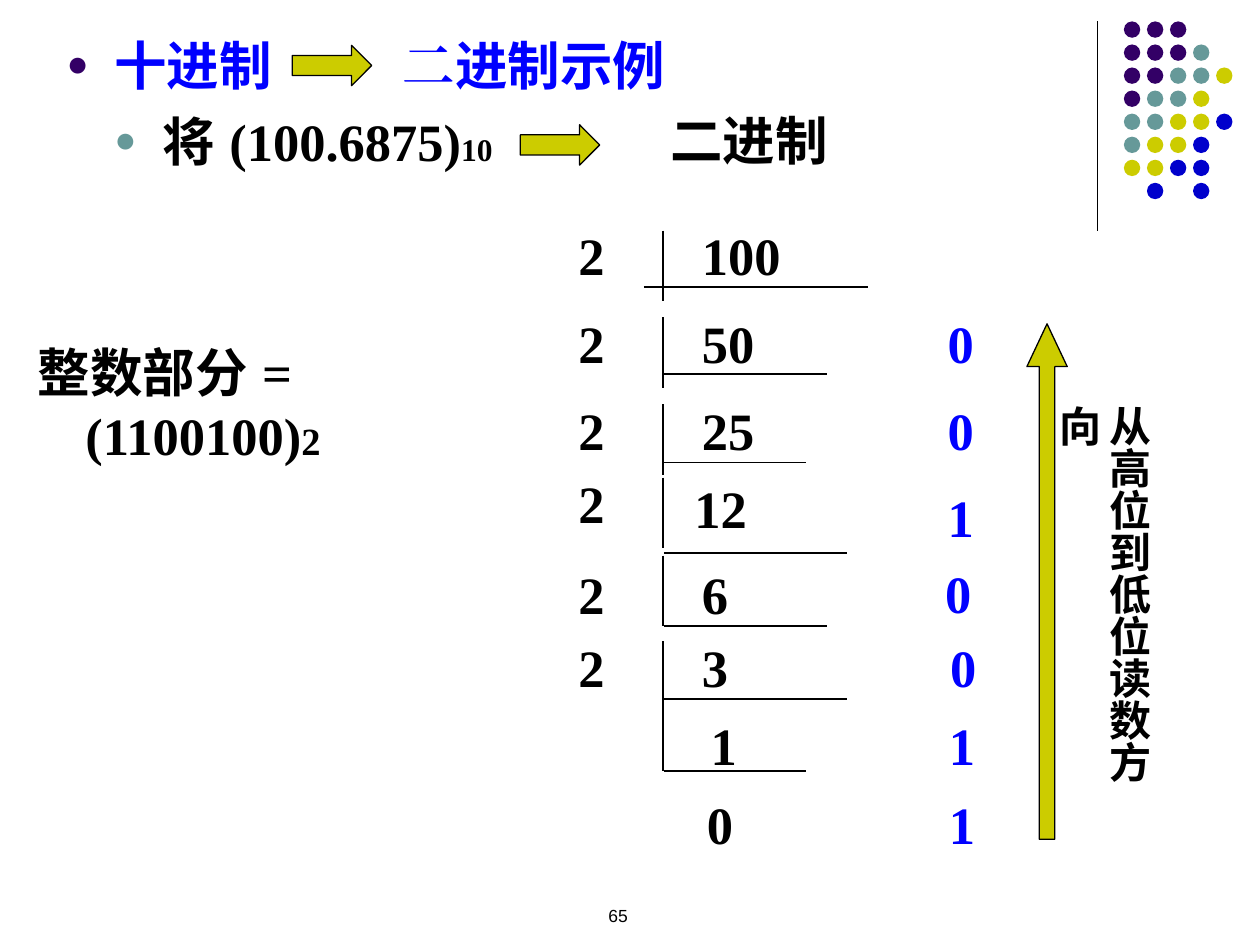
from lxml import etree
from pptx import Presentation
from pptx.dml.color import RGBColor
from pptx.enum.shapes import MSO_CONNECTOR, MSO_SHAPE
from pptx.enum.text import PP_ALIGN
from pptx.oxml.ns import qn
from pptx.util import Inches, Pt

LINE = MSO_CONNECTOR.STRAIGHT
OVAL = MSO_SHAPE.OVAL
RIGHT = MSO_SHAPE.RIGHT_ARROW
UP = MSO_SHAPE.UP_ARROW
CENTER = PP_ALIGN.CENTER
SANS, SERIF = "Arial", "Times New Roman"
HEX = {"ink": "000000", "blue": "0000FF", "plum": "330066",
       "teal": "669999", "lime": "CCCC00", "navy": "0000CC"}


def tint(name):
    """Return the named colour."""
    return RGBColor.from_string(HEX[name])


def add_run(para, text, face=SANS, size=30, hue="ink", bold=True):
    """Add one styled run."""
    run = para.add_run()
    run.text = text
    font = run.font
    font.name, font.size, font.bold = face, Pt(size), bold
    font.color.rgb = tint(hue)
    etree.SubElement(run._r.get_or_add_rPr(), qn("a:ea"), typeface=face)


def add_text(slide, box, pad=(0.1, 0.05)):
    """Add a wrapping text box and return its frame."""
    frame = slide.shapes.add_textbox(*map(Inches, box)).text_frame
    frame.word_wrap = True
    frame.margin_left = frame.margin_right = Inches(pad[0])
    frame.margin_top = frame.margin_bottom = Inches(pad[1])
    return frame


def add_line(slide, x, y, end_x, end_y, width=1):
    """Add a plain black line."""
    ends = map(Inches, (x, y, end_x, end_y))
    line = slide.shapes.add_connector(LINE, *ends)
    line.line.color.rgb = tint("ink")
    line.line.width = Pt(width)
    etree.SubElement(line._element.spPr, qn("a:effectLst"))


def add_shape(slide, kind, box, hue):
    """Add a filled shape without outline."""
    shape = slide.shapes.add_shape(kind, *map(Inches, box))
    shape.shadow.inherit = False
    shape.fill.solid()
    shape.fill.fore_color.rgb = tint(hue)
    shape.line.fill.background()
    return shape


def add_arrow(slide, kind, box, shaft, head):
    """Add an outlined block arrow."""
    arrow = add_shape(slide, kind, box, "lime")
    arrow.adjustments[0], arrow.adjustments[1] = shaft, head
    arrow.line.color.rgb = tint("ink")
    arrow.line.width = Pt(0.75)


def set_bullet(para, left, hue):
    """Give a paragraph a hanging round bullet."""
    props = para._p.get_or_add_pPr()
    props.set("marL", str(Inches(left)))
    props.set("indent", str(Inches(-0.38)))
    color = etree.SubElement(props, qn("a:buClr"))
    etree.SubElement(color, qn("a:srgbClr"), val=HEX[hue])
    etree.SubElement(props, qn("a:buSzPct"), val="70000")
    etree.SubElement(props, qn("a:buFont"), typeface=SANS)
    etree.SubElement(props, qn("a:buChar"), char="●")


def draw_dots(slide, x, y):
    """Draw the rule and the dot grid in the corner."""
    add_line(slide, x, y, x, y + 1.66, 0.75)
    hues = {"p": "plum", "t": "teal", "l": "lime", "n": "navy"}
    rows = ("ppp", "pppt", "ppttl", "pttl", "ttlln", "tlln", "llnn", " n n")
    for row, marks in enumerate(rows):
        for col, mark in enumerate(marks):
            if mark in hues:
                box = (x + 0.21 + col * 0.183, y + row * 0.183, 0.13, 0.13)
                add_shape(slide, OVAL, box, hues[mark])


def draw_head(slide, x, y, width, height):
    """Write the two heading lines with their arrows."""
    frame = add_text(slide, (x, y, width, height))
    top = frame.paragraphs[0]
    set_bullet(top, 0.38, "plum")
    add_run(top, "十进制", hue="blue")
    sub = frame.add_paragraph()
    sub.level = 1
    sub.space_before = Pt(7.5)
    set_bullet(sub, 0.76, "teal")
    add_run(sub, "将 ")
    add_run(sub, "(100.6875)", SERIF)
    add_run(sub, "10", SERIF, 18)
    goal = add_text(slide, (x + 2.67, y, 2.5, 0.6)).paragraphs[0]
    add_run(goal, "二", SERIF, hue="blue")
    add_run(goal, "进制示例", hue="blue")
    base = add_text(slide, (x + 4.79, y + 0.6, 1.6, 0.6)).paragraphs[0]
    add_run(base, "二进制")
    for dx, dy in ((1.89, 0.15), (3.7, 0.78)):
        add_arrow(slide, RIGHT, (x + dx, y + dy, 0.63, 0.32), 0.5, 0.498)


def draw_sum(slide, x, y, width, height):
    """Write the integer part of the result."""
    frame = add_text(slide, (x, y, width, height))
    frame.margin_right = Inches(0.6)
    para = frame.paragraphs[0]
    props = para._p.get_or_add_pPr()
    props.set("marL", str(Inches(0.38)))
    props.set("indent", str(Inches(-0.38)))
    add_run(para, "整数部分 ")
    add_run(para, "= (1100100)", SERIF)
    add_run(para, "2", SERIF, 22)


def add_digit(slide, text, x, y, width, hue="ink"):
    """Write one number of the division."""
    frame = add_text(slide, (x, y, width, 0.64), (0.14, 0.07))
    add_run(frame.paragraphs[0], text, SERIF, hue=hue)


def draw_steps(slide, x, y):
    """Draw the repeated division by two with its remainders."""
    steps = (("100", 0.98, 0, 0.13, 0.58, 2.44), ("50", 0.98, 0.7, 0.82, 1.27, 2.11),
             ("25", 0.98, 1.39, 1.51, 1.97, 1.95), ("12", 0.92, 2.01, 2.09, 2.69, 2.27),
             ("6", 0.98, 2.69, 2.71, 3.27, 2.11), ("3", 0.98, 3.27, 3.39, 3.85, 2.27),
             ("1", 1.05, 3.89, 3.86, 4.42, 1.95))
    for text, dx, dy, top, bar, end in steps:
        add_digit(slide, text, x + dx, y + dy, 0.98 if text == "1" else 1.79)
        add_line(slide, x + 0.81, y + top, x + 0.81, y + top + 0.56)
        start = 0.66 if text == "100" else 0.82
        add_line(slide, x + start, y + bar, x + end, y + bar)
    add_digit(slide, "0", x + 1.02, y + 4.52, 0.65)
    for dy in (0, 0.7, 1.39, 1.97, 2.69, 3.27):
        add_digit(slide, "2", x, y + dy, 1.14)
    rests = (("0", 2.93, 0.7), ("0", 2.93, 1.39), ("1", 2.93, 2.08), ("0", 2.91, 2.68),
             ("0", 2.95, 3.27), ("1", 2.94, 3.89), ("1", 2.94, 4.52))
    for text, dx, dy in rests:
        add_digit(slide, text, x + dx, y + dy, 0.68, "blue")


def draw_guide(slide, x, y, width, height):
    """Draw the upward arrow and its vertical label."""
    add_arrow(slide, UP, (x, y, width, height), 0.385, 1.061)
    frame = add_text(slide, (x + 0.06, y + 0.55, 1, 3.39), (0.05, 0.1))
    frame._txBody.bodyPr.set("vert", "eaVert")
    add_run(frame.paragraphs[0], "从高位到低位读数方向", size=24)


def draw_page(slide, x, y, width, height):
    """Write the page number."""
    para = add_text(slide, (x, y, width, height)).paragraphs[0]
    para.alignment = CENTER
    add_run(para, "65", size=10, bold=False)


def main():
    """Build and save the slide."""
    deck = Presentation()
    deck.slide_width, deck.slide_height = Inches(10), Inches(7.5)
    slide = deck.slides.add_slide(deck.slide_layouts[6])
    draw_dots(slide, 8.71, 0.17)
    draw_page(slide, 3.74, 7.13, 2.33, 0.5)
    draw_head(slide, 0.43, 0.21, 8.74, 1.34)
    draw_sum(slide, 0.2, 2.65, 4.25, 0.71)
    draw_steps(slide, 4.45, 1.7)
    draw_guide(slide, 8.15, 2.57, 0.32, 4.09)
    deck.save("out.pptx")


if __name__ == "__main__":
    main()
